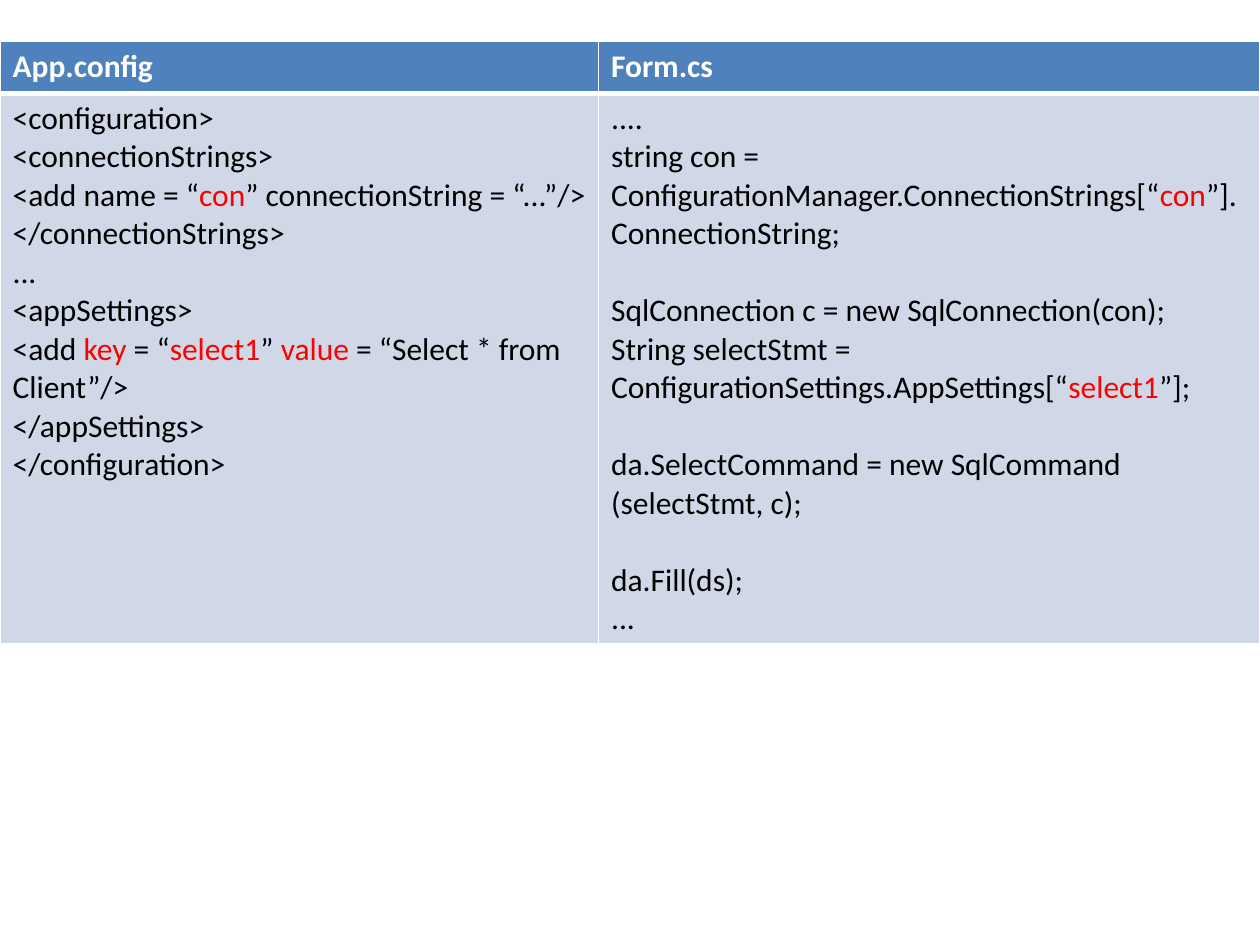
import pptx
import pptx.dml.color
import pptx.oxml
import pptx.oxml.ns
import pptx.util
from pptx.util import Inches

COLORS = {
    "header": "4F81BD",
    "body": "D0D8E8",
    "border": "FFFFFF",
    "header_text": "FFFFFF",
    "code": "000000",
    "highlight": "FF0000",
}
FONT = "Calibri"
FONT_SIZE = 18
BLANK_LINE = 22  # points, the height of one line of code

# Text between bars is highlighted; each inner list is a group of lines.
CONFIG_CODE = [[
    "<configuration>",
    "<connectionStrings>",
    "<add name = “|con|” connectionString = “...”/>",
    "</connectionStrings>",
    "...",
    "<appSettings>",
    "<add |key| = “|select1|” |value| = “Select * from Client”/>",
    "</appSettings>",
    "</configuration>",
]]
FORM_CODE = [
    ["....",
     "string con = ConfigurationManager.ConnectionStrings[“|con|”].ConnectionString;"],
    ["SqlConnection c = new SqlConnection(con);",
     "String selectStmt = ConfigurationSettings.AppSettings[“|select1|”];"],
    ["da.SelectCommand = new SqlCommand (selectStmt, c);"],
    ["da.Fill(ds);", "..."],
]


def rgb(name):
    """Return the named colour."""
    return pptx.dml.color.RGBColor.from_string(COLORS[name])


def format_run(run, color, bold=False):
    """Apply the table font to a run."""
    run.font.name = FONT
    run.font.size = pptx.util.Pt(FONT_SIZE)
    run.font.bold = bold
    run.font.color.rgb = rgb(color)


def style_cell(cell, fill, bottom_width=1):
    """Fill a cell and draw its four borders."""
    cell.fill.solid()
    cell.fill.fore_color.rgb = rgb(fill)
    properties = cell._tc.get_or_add_tcPr()
    for index, side in enumerate("LRTB"):
        width = pptx.util.Pt(bottom_width if side == "B" else 1)
        border = pptx.oxml.parse_xml(
            f'<a:ln{side} {pptx.oxml.ns.nsdecls("a")} w="{width}"><a:solidFill>'
            f'<a:srgbClr val="{COLORS["border"]}"/></a:solidFill></a:ln{side}>')
        properties.insert(index, border)


def fill_header(cell, text):
    """Write a column heading."""
    style_cell(cell, "header", bottom_width=3)
    cell.text_frame.text = text
    format_run(cell.text_frame.paragraphs[0].runs[0], "header_text", bold=True)


def fill_code(cell, groups):
    """Write groups of code lines with a line's gap between groups."""
    style_cell(cell, "body")
    text_frame = cell.text_frame
    text_frame.text = "\n".join(line for group in groups for line in group)
    paragraphs = iter(text_frame.paragraphs)
    for group_index, group in enumerate(groups):
        for line_index, line in enumerate(group):
            paragraph = next(paragraphs)
            paragraph.clear()
            if group_index and not line_index:
                paragraph.space_before = pptx.util.Pt(BLANK_LINE)
            for part_index, part in enumerate(line.split("|")):
                run = paragraph.add_run()
                run.text = part
                format_run(run, "highlight" if part_index % 2 else "code")


def add_code_table(slide, columns):
    """Add a table with one (heading, code, width) entry per column."""
    table = slide.shapes.add_table(
        2, len(columns), 0, Inches(0.33), Inches(10), Inches(4.71)).table
    table.rows[0].height = Inches(0.41)
    table.rows[1].height = Inches(4.3)
    for index, (heading, code, width) in enumerate(columns):
        table.columns[index].width = Inches(width)
        fill_header(table.cell(0, index), heading)
        fill_code(table.cell(1, index), code)


def main():
    """Build the slide and save it."""
    presentation = pptx.Presentation()
    presentation.slide_width = Inches(10)
    presentation.slide_height = Inches(7.5)
    slide = presentation.slides.add_slide(presentation.slide_layouts[6])
    add_code_table(slide, [
        ("App.config", CONFIG_CODE, 4.75),
        ("Form.cs", FORM_CODE, 5.25),
    ])
    presentation.save("out.pptx")


main()
